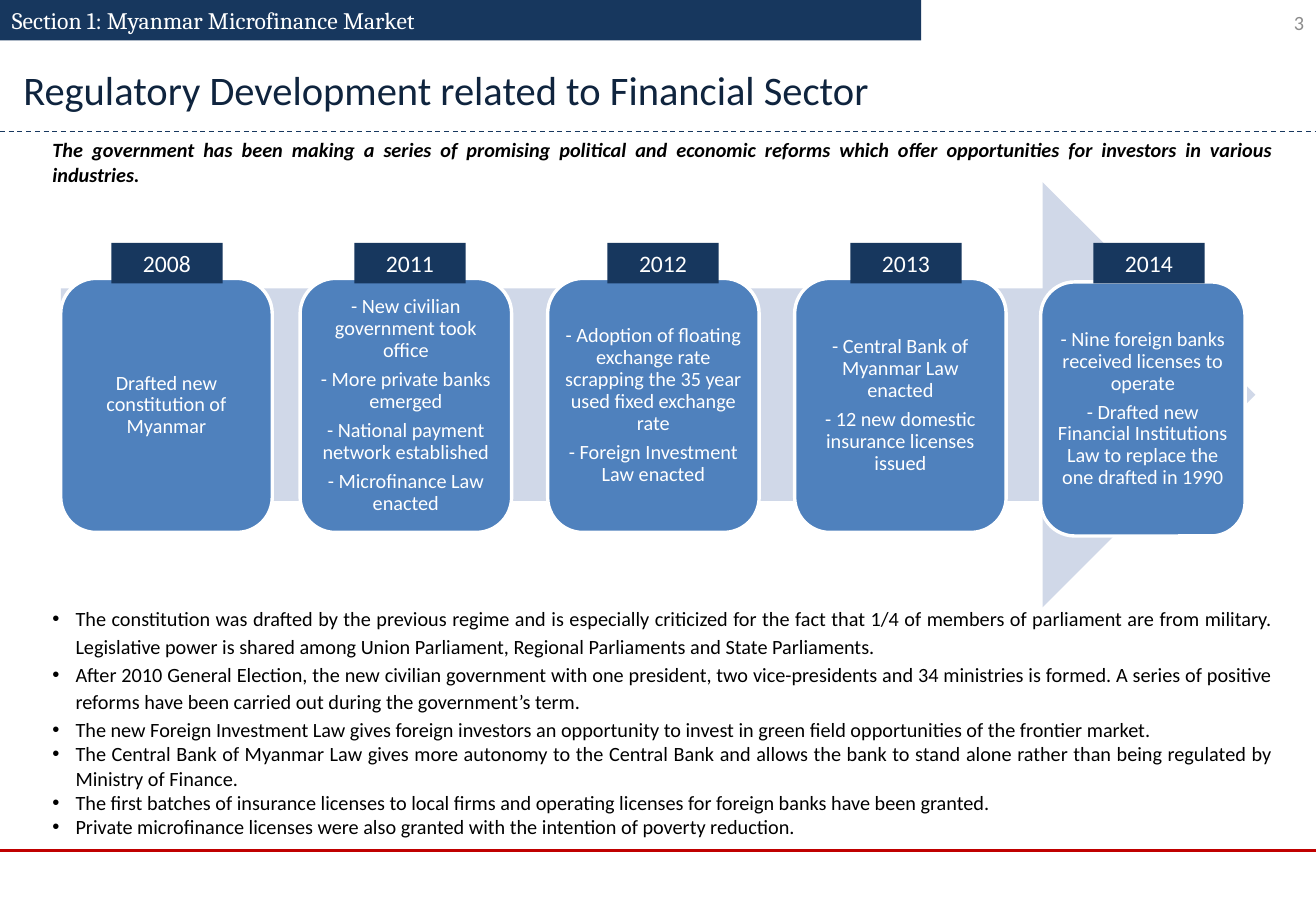
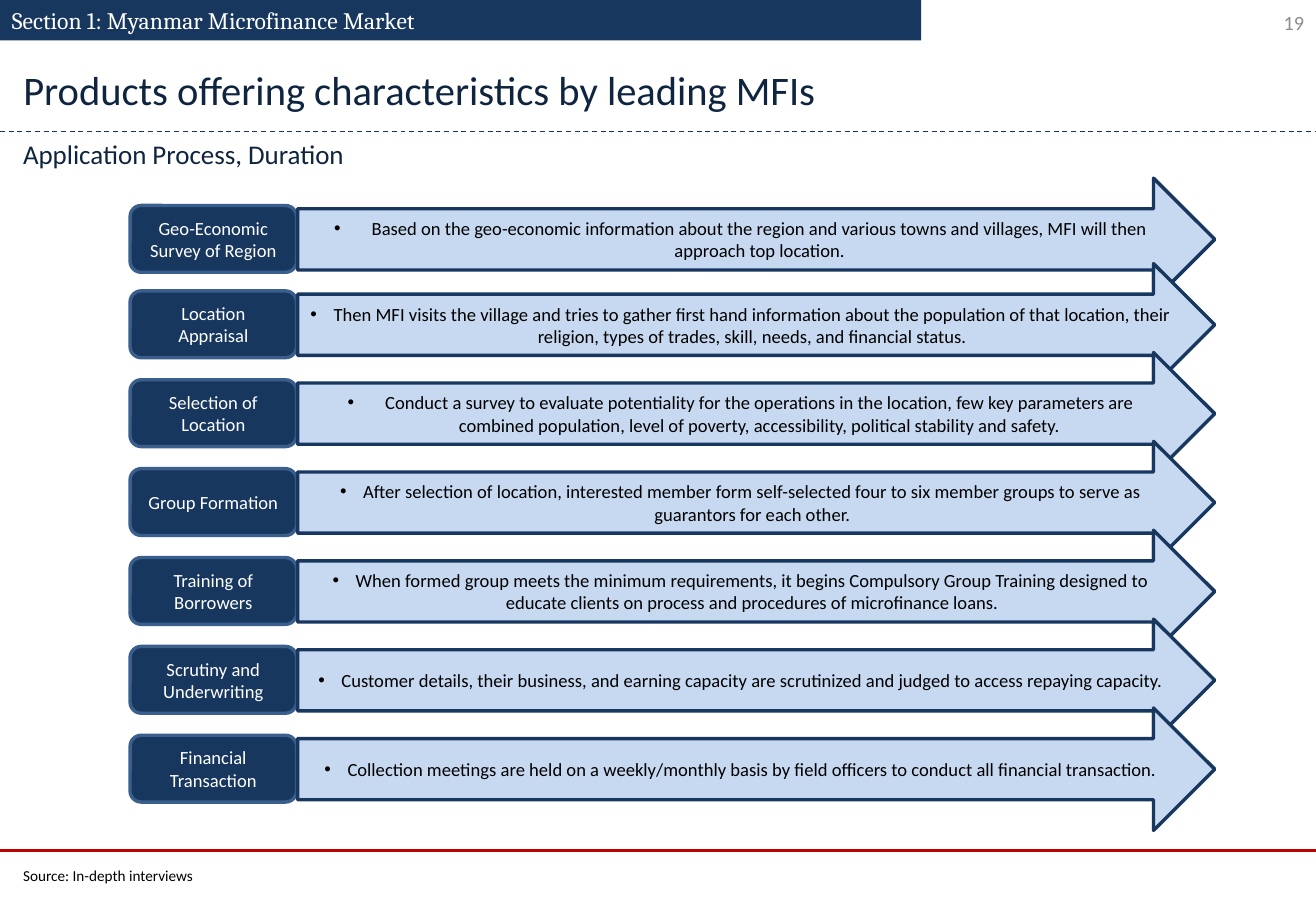
"""Build two slides on microfinance regulation and the loan application process."""
from lxml import etree
from pptx import Presentation
from pptx.dml.color import RGBColor
from pptx.enum.dml import MSO_LINE
from pptx.enum.shapes import MSO_CONNECTOR, MSO_SHAPE as SHAPE
from pptx.enum.text import MSO_ANCHOR as ANCHOR, PP_ALIGN as ALIGN
from pptx.oxml.ns import qn
from pptx.util import Inches, Pt

NAVY = RGBColor(0x17, 0x37, 0x5E)
INK = RGBColor(0x0F, 0x24, 0x3E)
BLUE = RGBColor(0x4F, 0x81, 0xBD)
PALE = RGBColor(0xD0, 0xD8, 0xE8)
SKY = RGBColor(0xC6, 0xD9, 0xF1)
EDGE = RGBColor(0x3A, 0x5F, 0x8C)
RED = RGBColor(0xC0, 0x00, 0x00)
GREY = RGBColor(0x8C, 0x8C, 0x8C)
WHITE = RGBColor(0xFF, 0xFF, 0xFF)
BLACK = RGBColor(0x00, 0x00, 0x00)

COLS, ROWS = 130, 90
deck = Presentation()
deck.slide_width, deck.slide_height = Inches(10.83), Inches(7.5)
COL, ROW = deck.slide_width / COLS, deck.slide_height / ROWS


def place(slide, kind, left, top, width, height, fill=None, edge=None):
    """Put a preset shape, or a text box when kind is None, on the grid."""
    cell = int(left * COL), int(top * ROW), int(width * COL), int(height * ROW)
    if kind is None:
        return slide.shapes.add_textbox(*cell)
    shape = slide.shapes.add_shape(kind, *cell)
    shape.shadow.inherit = False
    shape.fill.solid()
    shape.fill.fore_color.rgb = fill
    if edge is None:
        shape.line.fill.background()
    else:
        shape.line.color.rgb = edge
        shape.line.width = Pt(2)
    return shape


def write(shape, lines, size, color, align=ALIGN.LEFT, anchor=ANCHOR.TOP,
          face="Calibri", hang=None):
    """Fill a shape with paragraphs, bulleted when a hanging indent is given."""
    frame = shape.text_frame
    frame.word_wrap = True
    frame.vertical_anchor = anchor
    frame.text = "\n".join(lines)
    for paragraph in frame.paragraphs:
        paragraph.alignment = align
        if hang:
            props = paragraph._p.get_or_add_pPr()
            props.set("marL", str(Inches(hang)))
            props.set("indent", str(-Inches(hang)))
            etree.SubElement(props, qn("a:buFont")).set("typeface", "Arial")
            etree.SubElement(props, qn("a:buChar")).set("char", "•")
        for run in paragraph.runs:
            run.font.name = face
            run.font.size = Pt(size)
            run.font.color.rgb = color
    return frame


pages = [
    ("3", "Regulatory Development related to Financial Sector"),
    ("19", "Products offering characteristics by leading MFIs"),
]
rules = [(84, RED, 1.5, None), (13, NAVY, 0.75, MSO_LINE.DASH)]
for number, heading in pages:
    slide = deck.slides.add_slide(deck.slide_layouts[5])
    title = slide.shapes.title
    title.left, title.top = int(1.1 * COL), int(5.8 * ROW)
    title.width, title.height = int(98 * COL), int(6 * ROW)
    write(title, [heading], 24, INK, anchor=ANCHOR.MIDDLE)
    band = place(slide, SHAPE.RECTANGLE, 0, 0, 91, 4, NAVY)
    write(band, ["Section 1: Myanmar Microfinance Market"], 14, WHITE,
          anchor=ANCHOR.MIDDLE, face="Cambria")
    page_number = place(slide, None, 100, 0, 30, 4.4)
    write(page_number, [number], 12, GREY, ALIGN.RIGHT, ANCHOR.MIDDLE)
    for row, color, weight, dash in rules:
        y = int(row * ROW)
        rule = slide.shapes.add_connector(
            MSO_CONNECTOR.STRAIGHT, 0, y, deck.slide_width, y)
        rule.line.color.rgb = color
        rule.line.width = Pt(weight)
        if dash:
            rule.line.dash_style = dash
        etree.SubElement(rule._element.spPr, qn("a:effectLst"))

reforms, process = deck.slides

milestones = [
    ("2008", 11, 6, 27.5, 20.9, ["Drafted new constitution of Myanmar"]),
    ("2011", 35, 29.65, 27.5, 20.9, [
        "- New civilian government took office",
        "- More private banks emerged",
        "- National payment network established",
        "- Microfinance Law enacted"]),
    ("2012", 60, 54.1, 27.5, 20.9, [
        "- Adoption of floating exchange rate scrapping the 35 year used fixed exchange rate",
        "- Foreign Investment Law enacted"]),
    ("2013", 84, 78.5, 27.5, 20.9, [
        "- Central Bank of Myanmar Law enacted",
        "- 12 new domestic insurance licenses issued"]),
    ("2014", 108, 102.8, 27.85, 20.2, [
        "- Nine foreign banks received licenses to operate",
        "- Drafted new Financial Institutions Law to replace the one drafted in 1990"]),
]
place(reforms, SHAPE.RIGHT_ARROW, 6, 18, 118, 42, PALE)
for year, year_left, left, top, width, events in milestones:
    card = place(reforms, SHAPE.ROUNDED_RECTANGLE, left, top, width, 25.1, BLUE, WHITE)
    frame = write(card, events, 12, WHITE, ALIGN.CENTER, ANCHOR.MIDDLE)
    frame.margin_left = frame.margin_right = Inches(0.05)
    frame.margin_top = frame.margin_bottom = Inches(0.05)
    for paragraph in frame.paragraphs:
        paragraph.line_spacing = 0.9
        paragraph.space_after = Pt(4.2)
    year_tab = place(reforms, SHAPE.RECTANGLE, year_left, 24, 11, 4, NAVY)
    write(year_tab, [year], 14, WHITE, ALIGN.CENTER, ANCHOR.MIDDLE)

summary = place(reforms, None, 4, 13, 123, 6)
frame = write(summary, [
    "The government has been making a series of promising political and economic "
    "reforms which offer opportunities for investors in various industries.",
], 12, BLACK, ALIGN.JUSTIFY)
for run in frame.paragraphs[0].runs:
    run.font.bold = run.font.italic = True

remarks = place(reforms, None, 4, 59, 123, 24.7)
frame = write(remarks, [
    "The constitution was drafted by the previous regime and is especially criticized "
    "for the fact that 1/4 of members of parliament are from military. Legislative power "
    "is shared among Union Parliament, Regional Parliaments and State Parliaments.",
    "After 2010 General Election, the new civilian government with one president, two "
    "vice-presidents and 34 ministries is formed. A series of positive reforms have been "
    "carried out during the government’s term.",
    "The new Foreign Investment Law gives foreign investors an opportunity to invest in "
    "green field opportunities of the frontier market.",
    "The Central Bank of Myanmar Law gives more autonomy to the Central Bank and allows "
    "the bank to stand alone rather than being regulated by Ministry of Finance.",
    "The first batches of insurance licenses to local firms and operating licenses for "
    "foreign banks have been granted.",
    "Private microfinance licenses were also granted with the intention of poverty "
    "reduction.",
], 12, BLACK, ALIGN.JUSTIFY, hang=0.19)
for paragraph in frame.paragraphs[:3]:
    paragraph.line_spacing = 1.14

subtitle = place(process, None, 1.1, 13, 120, 4.4)
write(subtitle, ["Application Process, Duration"], 16, INK)
source = place(process, None, 1.1, 85, 93, 3)
write(source, ["Source: In-depth interviews"], 9, BLACK)

steps = [
    ("Geo-Economic Survey of Region", 0.31,
     "Based on the geo-economic information about the region and various towns and "
     "villages, MFI will then approach top location."),
    ("Location Appraisal", 0.19,
     "Then MFI visits the village and tries to gather first hand information about the "
     "population of that location, their religion, types of trades, skill, needs, and "
     "financial status."),
    ("Selection of Location", 0.31,
     "Conduct a survey to evaluate potentiality for the operations in the location, few "
     "key parameters are combined population, level of poverty, accessibility, political "
     "stability and safety."),
    ("Group Formation", 0.19,
     "After selection of location, interested member form self-selected four to six "
     "member groups to serve as guarantors for each other."),
    ("Training of Borrowers", 0.19,
     "When formed group meets the minimum requirements, it begins Compulsory Group "
     "Training designed to educate clients on process and procedures of microfinance "
     "loans."),
    ("Scrutiny and Underwriting", 0.19,
     "Customer details, their business, and earning capacity are scrutinized and judged "
     "to access repaying capacity."),
    ("Financial Transaction", 0.19,
     "Collection meetings are held on a weekly/monthly basis by field officers to conduct "
     "all financial transaction."),
]
step_tops = [17.6] + [26.04 + 8.78 * k for k in range(len(steps) - 1)]
for (step, hang, detail), top in zip(steps, step_tops):
    label = place(process, SHAPE.ROUNDED_RECTANGLE, 12.85, top + 2.7, 16.45, 6.6, NAVY, EDGE)
    write(label, [step], 11, WHITE, ALIGN.CENTER, ANCHOR.MIDDLE)
    arrow = place(process, SHAPE.RIGHT_ARROW, 29.4, top, 90.6, 12.1, SKY, NAVY)
    write(arrow, [detail], 11, BLACK, ALIGN.CENTER, ANCHOR.MIDDLE, hang=hang)

deck.save("out.pptx")
